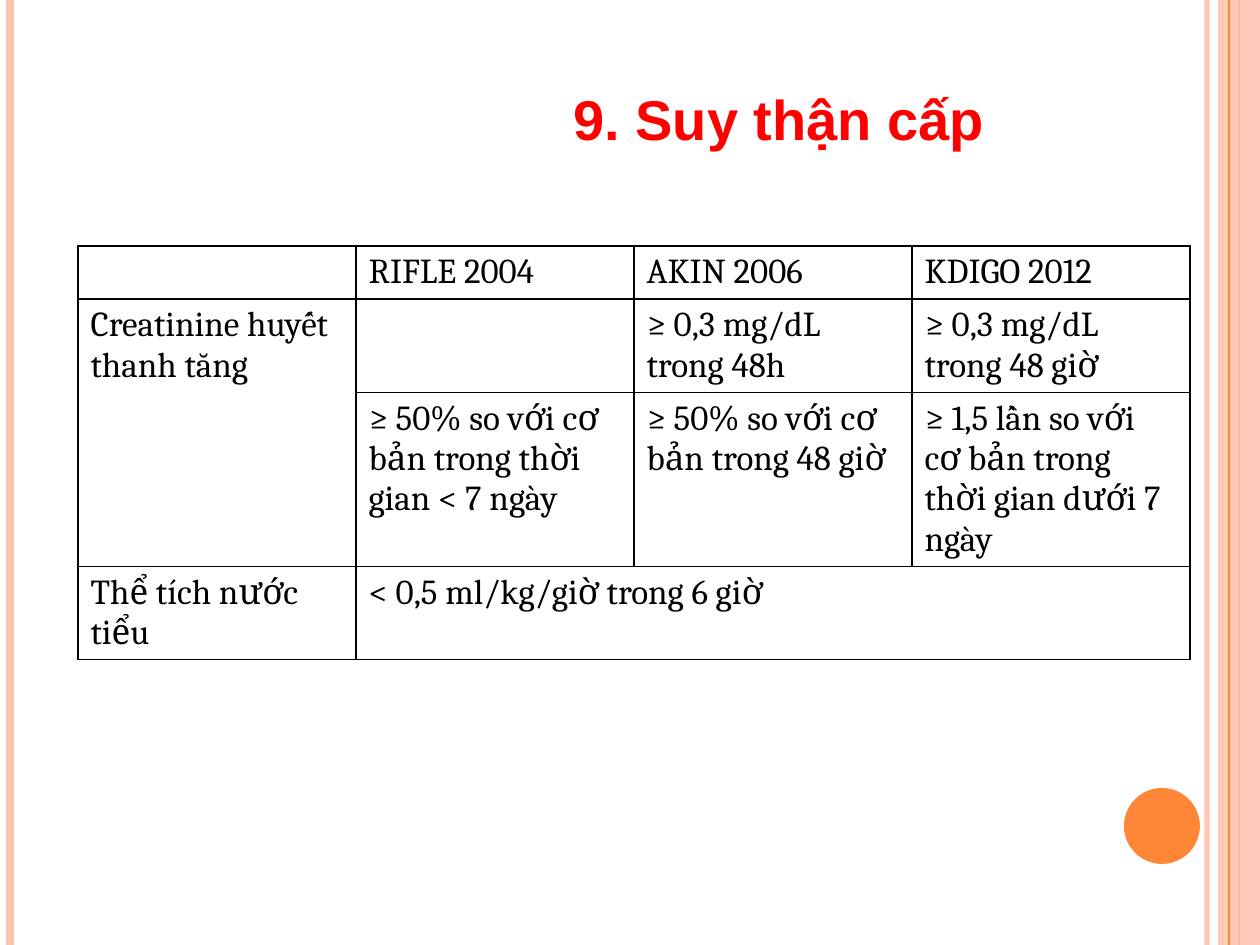
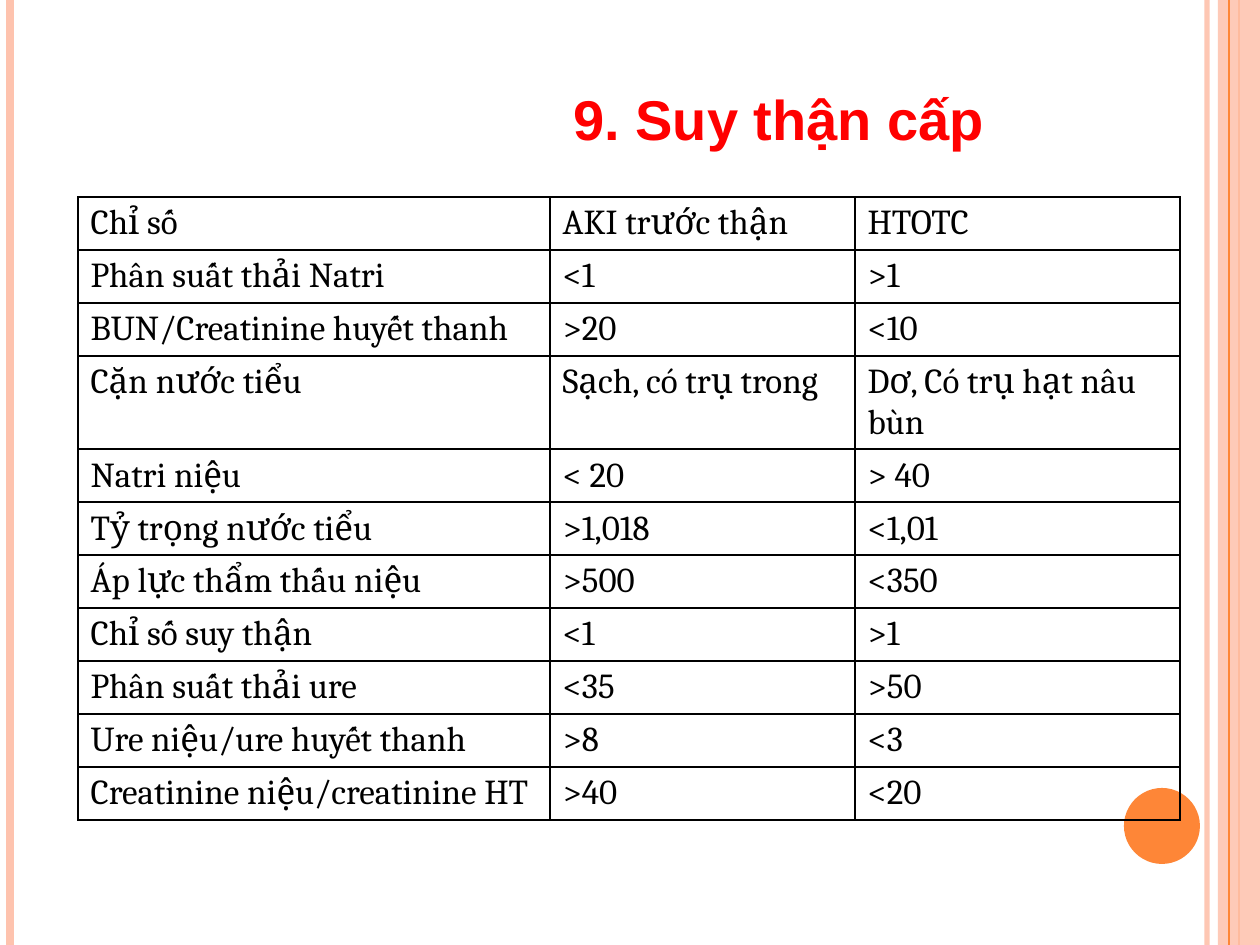
import dataclasses
import typing

import lxml.etree
import pptx
import pptx.dml.color
import pptx.enum.shapes
import pptx.enum.text
import pptx.oxml.ns
import pptx.util

SHAPES = pptx.enum.shapes.MSO_SHAPE
qn = pptx.oxml.ns.qn


@dataclasses.dataclass(frozen=True)
class Theme:
    peach: str = "FEC3AE"
    orange: str = "FE8637"
    red: str = "FF0000"
    black: str = "000000"
    head: typing.Mapping = dataclasses.field(
        default_factory=lambda: {"name": "Arial", "size": pptx.util.Pt(32), "bold": True})
    body: typing.Mapping = dataclasses.field(
        default_factory=lambda: {"name": "Cambria", "size": pptx.util.Pt(20)})
    border: float = 1


THEME = Theme()
WIDE, TALL = 1260, 945
ROW = 52


class Rule(typing.NamedTuple):
    x: int
    color: str
    weight: float
    alpha: int = 100


class Block(typing.NamedTuple):
    kind: int
    box: tuple[int, int, int, int]
    color: str
    alpha: int = 100


class Grid(typing.NamedTuple):
    left: int
    top: int
    height: int
    cols: list[int]
    rows: list[list[str]]
    spans: tuple = ()


DECOR = [
    Rule(1207, THEME.peach, 3, 93),
    Rule(10, THEME.peach, 4.5),
    Rule(1239, THEME.orange, 1.5),
    Block(SHAPES.RECTANGLE, (1218, 0, 42, TALL), THEME.peach, 87),
    Rule(1229, THEME.orange, 0.75),
    Block(SHAPES.OVAL, (1124, 788, 76, 76), THEME.orange),
]

TITLE = "9. Suy thận cấp"

STAGES = Grid(78, 246, 428, [278] * 4, [
    ["", "RIFLE 2004", "AKIN 2006", "KDIGO 2012"],
    ["Creatinine huyết thanh tăng", "", "≥ 0,3 mg/dL trong 48h", "≥ 0,3 mg/dL trong 48 giờ"],
    ["", "≥ 50% so với cơ bản trong thời gian < 7 ngày",
     "≥ 50% so với cơ bản trong 48 giờ",
     "≥ 1,5 lần so với cơ bản trong thời gian dưới 7 ngày"],
    ["Thể tích nước tiểu", "< 0,5 ml/kg/giờ trong 6 giờ", "", ""],
], (((1, 0), (2, 0)), ((3, 1), (3, 3))))

SIGNS = Grid(78, 197, 684, [472, 305, 325], [
    ["Chỉ số", "AKI trước thận", "HTOTC"],
    ["Phân suất thải Natri", "<1", ">1"],
    ["BUN/Creatinine huyết thanh", ">20", "<10"],
    ["Cặn nước tiểu", "Sạch, có trụ trong", "Dơ, Có trụ hạt nâu bùn"],
    ["Natri niệu", "< 20", "> 40"],
    ["Tỷ trọng nước tiểu", ">1,018", "<1,01"],
    ["Áp lực thẩm thấu niệu", ">500", "<350"],
    ["Chỉ số suy thận", "<1", ">1"],
    ["Phân suất thải ure", "<35", ">50"],
    ["Ure niệu/ure huyết thanh", ">8", "<3"],
    ["Creatinine niệu/creatinine HT", ">40", "<20"],
])


def px(count: int) -> int:
    return round(count * pptx.util.Inches(1) / 126)


def rgb(color: str) -> pptx.dml.color.RGBColor:
    return pptx.dml.color.RGBColor.from_string(color)


def apply(item: typing.Any, values: typing.Mapping) -> None:
    for key, value in values.items():
        setattr(item, key, value)


def write(frame: typing.Any, text: str, style: typing.Mapping, color: str) -> None:
    if text:
        run = frame.paragraphs[0].add_run()
        run.text = text
        apply(run.font, style)
        run.font.color.rgb = rgb(color)


def fade(shape: typing.Any, alpha: int) -> None:
    if alpha < 100:
        for node in shape.element.spPr.iter(qn("a:srgbClr")):
            lxml.etree.SubElement(node, qn("a:alpha"), val=str(alpha * 1000))


def draw_rule(slide: typing.Any, rule: Rule) -> None:
    line = slide.shapes.add_connector(
        pptx.enum.shapes.MSO_CONNECTOR.STRAIGHT, px(rule.x), 0, px(rule.x), px(TALL))
    line.line.color.rgb = rgb(rule.color)
    line.line.width = pptx.util.Pt(rule.weight)
    fade(line, rule.alpha)
    lxml.etree.SubElement(line.element.spPr, qn("a:effectLst"))


def draw_block(slide: typing.Any, block: Block) -> None:
    shape = slide.shapes.add_shape(block.kind, *map(px, block.box))
    shape.shadow.inherit = False
    shape.fill.solid()
    shape.fill.fore_color.rgb = rgb(block.color)
    shape.line.fill.background()
    fade(shape, block.alpha)


def draw_title(slide: typing.Any) -> None:
    frame = slide.shapes.add_textbox(px(561), px(78), px(669), px(81)).text_frame
    apply(frame, {"word_wrap": True,
                  "auto_size": pptx.enum.text.MSO_AUTO_SIZE.SHAPE_TO_FIT_TEXT})
    write(frame, TITLE, THEME.head, THEME.red)


def edge_cells(frame: typing.Any) -> None:
    width = str(pptx.util.Pt(THEME.border))
    for props in frame.element.iter(qn("a:tcPr")):
        for spot, side in enumerate("LRTB"):
            line = lxml.etree.Element(qn(f"a:ln{side}"), w=width)
            fill = lxml.etree.SubElement(line, qn("a:solidFill"))
            lxml.etree.SubElement(fill, qn("a:srgbClr"), val=THEME.black)
            props.insert(spot, line)


def draw_grid(slide: typing.Any, grid: Grid) -> None:
    frame = slide.shapes.add_table(
        len(grid.rows), len(grid.cols), px(grid.left), px(grid.top),
        px(sum(grid.cols)), px(grid.height))
    table = frame.table
    apply(table, {"first_row": False, "horz_banding": False})
    for col, width in zip(table.columns, grid.cols):
        col.width = px(width)
    for row in table.rows:
        row.height = px(ROW)
    for first, last in grid.spans:
        table.cell(*first).merge(table.cell(*last))
    for y, texts in enumerate(grid.rows):
        for x, text in enumerate(texts):
            cell = table.cell(y, x)
            cell.fill.background()
            write(cell.text_frame, text, THEME.body, THEME.black)
    edge_cells(frame)
    frame.height = px(grid.height)


def draw_slide(deck: typing.Any, grid: Grid) -> None:
    slide = deck.slides.add_slide(deck.slide_layouts[6])
    for part in DECOR:
        if isinstance(part, Rule):
            draw_rule(slide, part)
        else:
            draw_block(slide, part)
    draw_grid(slide, grid)
    draw_title(slide)


def main() -> None:
    deck = pptx.Presentation()
    apply(deck, {"slide_width": px(WIDE), "slide_height": px(TALL)})
    for grid in (STAGES, SIGNS):
        draw_slide(deck, grid)
    deck.save("out.pptx")


if __name__ == "__main__":
    main()
